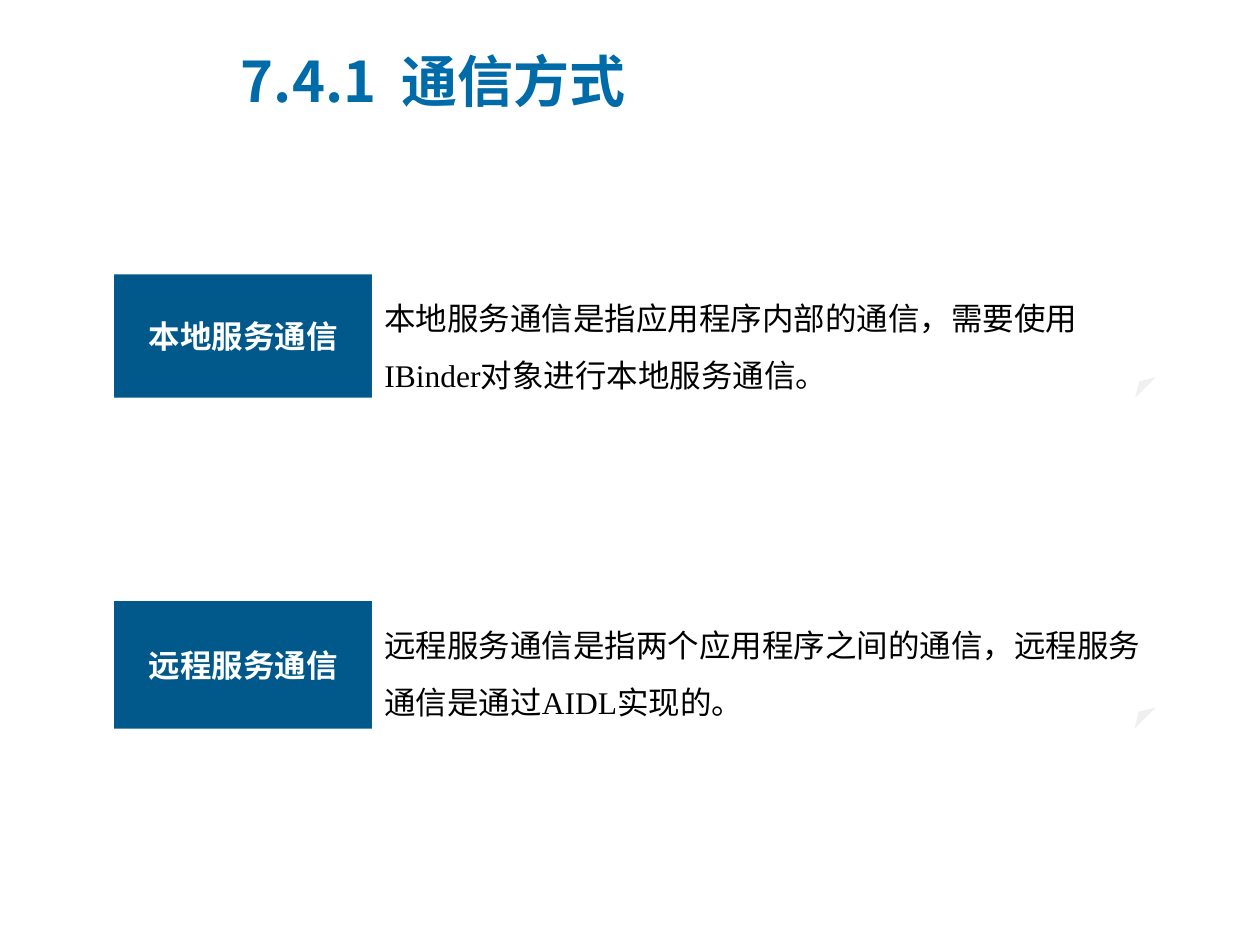
from dataclasses import dataclass

from lxml.etree import SubElement
from pptx import Presentation
from pptx.dml.color import RGBColor as RGB
from pptx.enum.shapes import MSO_SHAPE as SHAPE
from pptx.enum.text import MSO_ANCHOR as ANCHOR, MSO_AUTO_SIZE as AUTO, PP_ALIGN as ALIGN
from pptx.oxml.ns import qn
from pptx.util import Cm, Pt


@dataclass(frozen=True)
class Theme:
    title: RGB = RGB(0x00, 0x6B, 0xA9)
    label: RGB = RGB(0x01, 0x59, 0x8B)
    white: RGB = RGB(0xFF, 0xFF, 0xFF)
    black: RGB = RGB(0x00, 0x00, 0x00)
    title_size: Pt = Pt(32)
    body_size: Pt = Pt(18)
    cjk: str = "Noto Sans CJK SC"
    sans: str = "Arial"
    serif: str = "Times New Roman"


T = Theme()


def add_run(p, text, font, size, color, bold=False):
    r = p.add_run()
    r.text = text
    r.font.name, r.font.size, r.font.bold = font, size, bold
    r.font.color.rgb = color
    if font == T.cjk:
        SubElement(r.font._element, qn("a:ea"), typeface=font)


def add_box(kind, left, top, width, height, fill):
    """Add a plain filled shape without line or shadow."""
    sp = s.shapes.add_shape(kind, Cm(left), Cm(top), Cm(width), Cm(height))
    sp.shadow.inherit = False
    sp.fill.solid()
    sp.fill.fore_color.rgb = fill
    sp.line.fill.background()
    sp.text_frame.word_wrap = True
    return sp


prs = Presentation()
prs.slide_width, prs.slide_height = Cm(25.4), Cm(19.05)
s = prs.slides.add_slide(prs.slide_layouts[5])

# Title
title = s.shapes.title
title.left, title.top, title.width, title.height = Cm(4.6), Cm(0.56), Cm(14.3), Cm(2.13)
tf = title.text_frame
tf.auto_size = AUTO.NONE
tf.vertical_anchor = ANCHOR.MIDDLE
p = tf.paragraphs[0]
p.alignment = ALIGN.LEFT
add_run(p, "7.4.1  通信方式", T.cjk, T.title_size, T.title, bold=True)

# One row per kind of communication: label, top, height, opacity in %, description
rows = [
    ("本地服务通信", 5.53, 2.49, 28,
     [("本地服务通信是指应用程序内部的通信，需要使用", T.sans),
      ("IBinder", T.serif),
      ("对象进行本地服务通信。", T.sans)]),
    ("远程服务通信", 12.12, 2.57, 31,
     [("远程服务通信是指两个应用程序之间的通信，远程服务通信是通过", T.sans),
      ("AIDL", T.serif),
      ("实现的。", T.sans)]),
]
label_left, label_width, note_width = 2.3, 5.2, 15.8

for label, top, height, opacity, parts in rows:
    sp = add_box(SHAPE.RECTANGLE, label_left, top, label_width, height, T.label)
    tf = sp.text_frame
    tf.vertical_anchor = ANCHOR.MIDDLE
    p = tf.paragraphs[0]
    p.alignment = ALIGN.CENTER
    add_run(p, label, T.cjk, T.body_size, T.white, bold=True)

    sp = add_box(SHAPE.FOLDED_CORNER, label_left + label_width, top, note_width, height, T.white)
    color = sp.fill._xPr.find(qn("a:solidFill"))[0]
    SubElement(color, qn("a:alpha"), val=str(opacity * 1000))
    tf = sp.text_frame
    tf.vertical_anchor = ANCHOR.TOP
    p = tf.paragraphs[0]
    p.alignment = ALIGN.LEFT
    p.line_spacing = 1.5
    for text, font in parts:
        add_run(p, text, font, T.body_size, T.black)

prs.save("out.pptx")
